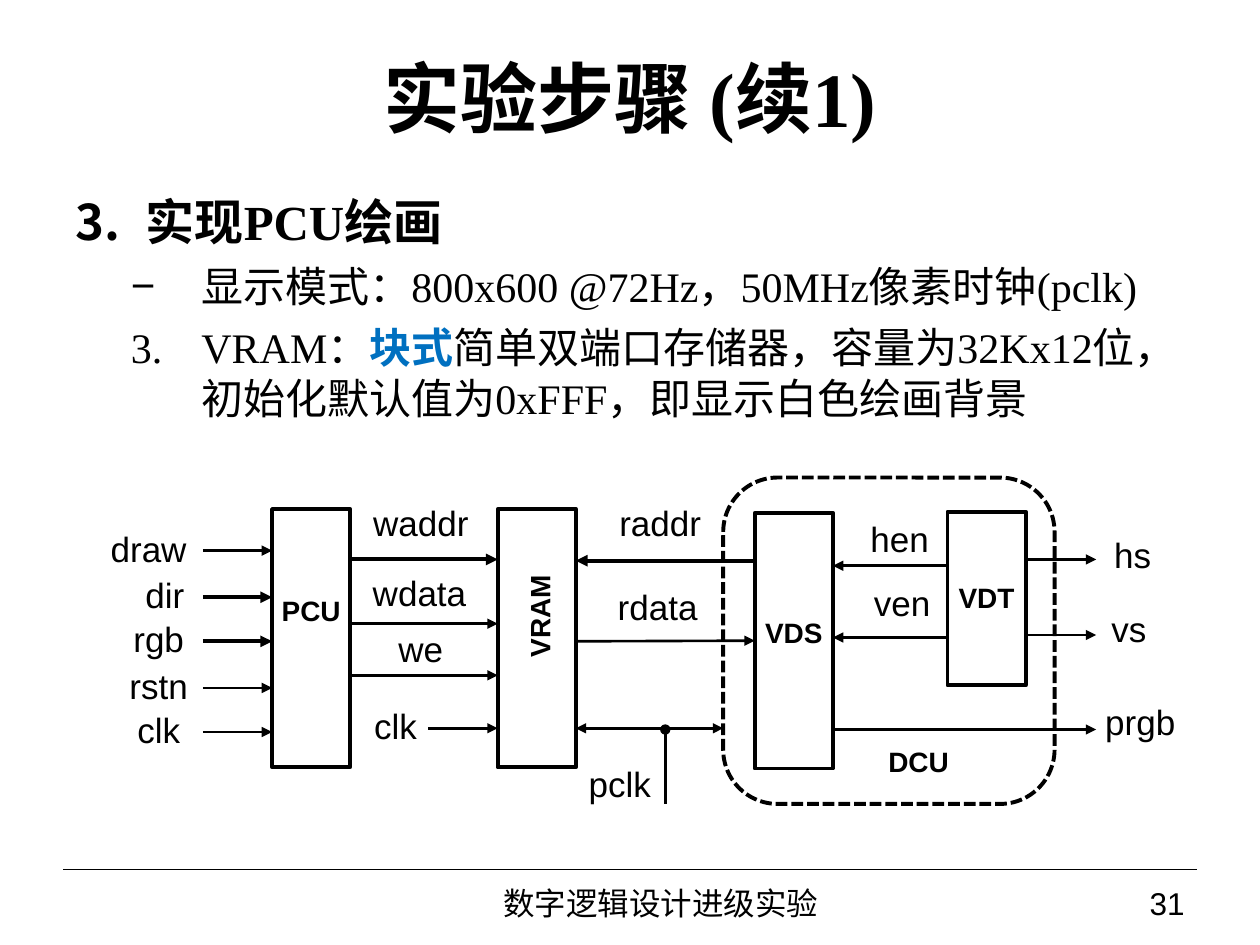
from lxml import etree
from pptx import Presentation
from pptx.dml.color import RGBColor
from pptx.enum.dml import MSO_LINE
from pptx.enum.shapes import MSO_CONNECTOR, MSO_SHAPE
from pptx.enum.text import MSO_ANCHOR, PP_ALIGN
from pptx.oxml.ns import qn
from pptx.util import Inches, Pt

STRAIGHT = MSO_CONNECTOR.STRAIGHT
RECTANGLE, ROUNDED = MSO_SHAPE.RECTANGLE, MSO_SHAPE.ROUNDED_RECTANGLE
LEFT, CENTER, RIGHT = PP_ALIGN.LEFT, PP_ALIGN.CENTER, PP_ALIGN.RIGHT
TOP, MIDDLE = MSO_ANCHOR.TOP, MSO_ANCHOR.MIDDLE
DASH = MSO_LINE.SQUARE_DOT

COLORS = {"ink": "000000", "accent": "0070C0"}
SANS, SERIF = "Arial", "Times New Roman"
THIN, THICK = 1.5, 2.25

# The grid has 10 columns and 7.5 rows, one inch each
GRID = Inches(1)
BLOCK_WIDTH = 0.62
PCU, VRAM, VDS, VDT, DCU = 2.16, 3.95, 5.99, 7.52, 5.74  # left edges
PCU_END, VRAM_END, VDS_END, VDT_END = (
    left + BLOCK_WIDTH for left in (PCU, VRAM, VDS, VDT))
INPUT_START, OUTPUT_END = 1.61, 8.7


def cells(*values):
    return [round(value * GRID) for value in values]


def color(name):
    return RGBColor.from_string(COLORS[name])


def write(para, text, size=20, font=SANS, bold=False, ink="ink"):
    span = para.add_run()
    span.text = text
    span.font.size = Pt(size)
    span.font.name = font
    span.font.bold = bold
    span.font.color.rgb = color(ink)


def set_frame(box, anchor=MIDDLE, wrap=True, inset=0.0):
    frame = box.text_frame
    frame.word_wrap = wrap
    frame.vertical_anchor = anchor
    frame.margin_left = frame.margin_right = round(inset * GRID)
    frame.margin_top = frame.margin_bottom = round(inset / 2 * GRID)
    return frame


def add_text(page, text, area, align=LEFT, wrap=True, inset=0.0, turn=0, **style):
    box = page.shapes.add_textbox(*cells(*area))
    box.rotation = turn
    para = set_frame(box, wrap=wrap, inset=inset).paragraphs[0]
    para.alignment = align
    write(para, text, **style)


def add_label(page, text, column, row, **style):
    """Put a one-line label around its centre."""
    width, height = 0.9, 0.4  # wider than the longest label
    area = (column - width / 2, row - height / 2, width, height)
    add_text(page, text, area, align=CENTER, wrap=False, **style)


def add_block(page, *area, kind=RECTANGLE, dash=None):
    block = page.shapes.add_shape(kind, *cells(*area))
    block.shadow.inherit = False
    block.fill.background()
    block.line.color.rgb = color("ink")
    block.line.width = Pt(THICK)
    if dash:
        block.line.dash_style = dash
    return block


def add_line(page, start, end, width=THIN, head=None, tail="triangle"):
    line = page.shapes.add_connector(STRAIGHT, *cells(*start, *end))
    line.line.color.rgb = color("ink")
    line.line.width = Pt(width)
    outline = line.line._get_or_add_ln()
    for tag, mark in (("a:headEnd", head), ("a:tailEnd", tail)):
        if mark:
            etree.SubElement(outline, qn(tag), type=mark)
    etree.SubElement(line._element.spPr, qn("a:effectLst"))
    return line


def add_signal(page, row, start, end, **style):
    return add_line(page, (start, row), (end, row), **style)


def add_item(para, parts, indent, bullet=None, level=0):
    """Write a list item; without a bullet it is numbered from 3."""
    para.level = level
    para.space_after = Pt(6)
    props = para._p.get_or_add_pPr()
    props.set("marL", str(round(indent * GRID)))
    props.set("indent", str(round(-0.56 * GRID)))
    if bullet:
        etree.SubElement(props, qn("a:buFont"), typeface=SANS)
        etree.SubElement(props, qn("a:buChar"), char=bullet)
    else:
        etree.SubElement(props, qn("a:buAutoNum"), type="arabicPeriod", startAt="3")
    for text, style in parts:
        write(para, text, font=SERIF, **style)


def add_steps(page):
    box = page.shapes.add_textbox(*cells(0.5, 1.47, 8.75, 2.15))
    frame = set_frame(box, anchor=TOP, inset=0.1)
    plain = {"size": 24}
    add_item(frame.paragraphs[0], [("实现PCU绘画", {"size": 28, "bold": True})], 0.56)
    add_item(frame.add_paragraph(),
             [("显示模式：800x600 @72Hz，50MHz像素时钟(pclk)", plain)],
             1, bullet="−", level=1)
    add_item(frame.add_paragraph(), [
        ("VRAM：", plain),
        ("块式", {"size": 24, "bold": True, "ink": "accent"}),
        ("简单双端口存储器，容量为32Kx12位，初始化默认值为0xFFF，即显示白色绘画背景", plain),
    ], 1, level=1)


def add_diagram(page):
    # Blocks and their names
    add_block(page, PCU, 4.04, BLOCK_WIDTH, 2.05)
    add_block(page, VRAM, 4.04, BLOCK_WIDTH, 2.05)
    vds = add_block(page, VDS, 4.07, BLOCK_WIDTH, 2.03)
    add_block(page, VDT, 4.06, BLOCK_WIDTH, 1.38)
    add_block(page, DCU, 3.79, 2.63, 2.59, kind=ROUNDED, dash=DASH)
    for name, column, row, turn in (
            ("PCU", 2.47, 4.84, 0), ("VRAM", 4.28, 4.89, 270),
            ("VDS", 6.3, 5.02, 0), ("VDT", 7.83, 4.74, 0), ("DCU", 7.29, 6.04, 0)):
        add_label(page, name, column, row, size=16, bold=True, turn=turn)

    # Signal names
    for name, column, row in (
            ("draw", 1.18, 4.35), ("dir", 1.31, 4.72), ("rgb", 1.26, 5.07),
            ("rstn", 1.26, 5.44), ("clk", 1.26, 5.79),
            ("waddr", 3.34, 4.15), ("wdata", 3.33, 4.7), ("we", 3.34, 5.15),
            ("clk", 3.14, 5.76), ("raddr", 5.24, 4.15), ("rdata", 5.22, 4.81),
            ("pclk", 4.92, 6.22), ("hen", 7.14, 4.27), ("ven", 7.16, 4.78),
            ("hs", 8.99, 4.4), ("vs", 8.96, 4.99), ("prgb", 9.05, 5.73)):
        add_label(page, name, column, row)

    # Signals, each from its source to its target
    for row, start, end, width in (
            (4.37, INPUT_START, PCU, THIN), (4.74, INPUT_START, PCU, THICK),
            (5.09, INPUT_START, PCU, THICK), (5.46, INPUT_START, PCU, THIN),
            (5.81, INPUT_START, PCU, THIN),
            (4.44, PCU_END, VRAM, THICK), (4.95, PCU_END, VRAM, THIN),
            (5.36, PCU_END, VRAM, THIN), (5.78, 3.4, VRAM, THIN),
            (4.45, VDS, VRAM_END, THICK),
            (4.49, VDT, VDS_END, THIN), (5.06, VDT, VDS_END, THIN),
            (4.44, VDT_END, OUTPUT_END, THIN), (5.04, VDT_END, OUTPUT_END, THIN),
            (5.79, VDS_END, OUTPUT_END, THIN)):
        add_signal(page, row, start, end, width=width)
    add_signal(page, 5.09, VRAM_END, VDS).end_connect(vds, 1)

    # Pixel clock
    add_signal(page, 5.78, VRAM_END, DCU, head="triangle")
    add_line(page, (5.28, 6.38), (5.28, 5.79), tail="oval")


def add_title(page):
    title = page.shapes.title
    title.left, title.top, title.width, title.height = cells(0.5, 0.3, 9, 0.93)
    para = set_frame(title).paragraphs[0]
    para.alignment = CENTER
    write(para, "实验步骤 (续1)", size=44, font=SERIF, bold=True)


def add_footer(page):
    add_line(page, (0.5, 6.9), (9.5, 6.9), width=0.75, tail=None)
    add_text(page, "数字逻辑设计进级实验", (2.83, 6.98, 4.83, 0.37),
             align=CENTER, inset=0.1, size=18)
    add_text(page, "31", (7.75, 6.98, 1.75, 0.37), align=RIGHT, inset=0.1, size=18)


def main():
    deck = Presentation()
    deck.slide_width, deck.slide_height = cells(10, 7.5)
    page = deck.slides.add_slide(deck.slide_layouts[5])
    add_title(page)
    add_steps(page)
    add_diagram(page)
    add_footer(page)
    deck.save("out.pptx")


if __name__ == "__main__":
    main()
